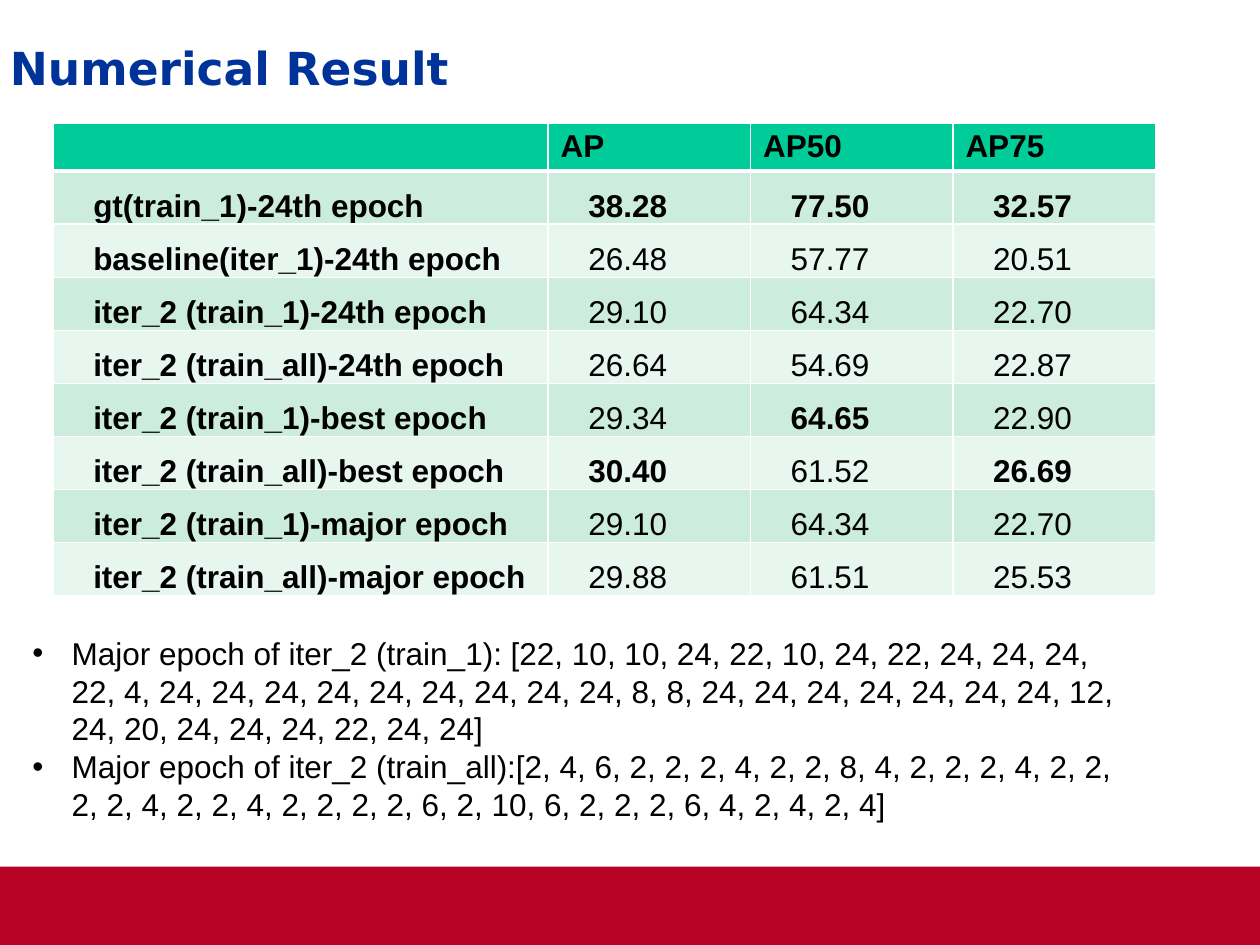
from lxml import etree
from pptx import Presentation
from pptx.dml.color import RGBColor
from pptx.enum.shapes import MSO_SHAPE
from pptx.enum.text import MSO_ANCHOR, MSO_AUTO_SIZE, PP_ALIGN
from pptx.oxml.ns import qn
from pptx.util import Cm, Pt

RECTANGLE = MSO_SHAPE.RECTANGLE
LEFT = PP_ALIGN.LEFT
TOP, MIDDLE = MSO_ANCHOR.TOP, MSO_ANCHOR.MIDDLE
NO_AUTOFIT = MSO_AUTO_SIZE.NONE

# Content
TITLE = "Numerical Result"
HEADER = ("", "AP", "AP50", "AP75")
RESULTS = [
    ("gt(train_1)-24th epoch", "38.28", "77.50", "32.57"),
    ("baseline(iter_1)-24th epoch", "26.48", "57.77", "20.51"),
    ("iter_2 (train_1)-24th epoch", "29.10", "64.34", "22.70"),
    ("iter_2 (train_all)-24th epoch", "26.64", "54.69", "22.87"),
    ("iter_2 (train_1)-best epoch", "29.34", "64.65", "22.90"),
    ("iter_2 (train_all)-best epoch", "30.40", "61.52", "26.69"),
    ("iter_2 (train_1)-major epoch", "29.10", "64.34", "22.70"),
    ("iter_2 (train_all)-major epoch", "29.88", "61.51", "25.53"),
]
BEST_VALUES = {"38.28", "77.50", "32.57", "64.65", "30.40", "26.69"}
MAJOR_EPOCHS = [
    "Major epoch of iter_2 (train_1): [22, 10, 10, 24, 22, 10, 24, 22, 24, 24, 24, "
    "22, 4, 24, 24, 24, 24, 24, 24, 24, 24, 24, 8, 8, 24, 24, 24, 24, 24, 24, 24, 12, "
    "24, 20, 24, 24, 24, 22, 24, 24]",
    "Major epoch of iter_2 (train_all):[2, 4, 6, 2, 2, 2, 4, 2, 2, 8, 4, 2, 2, 2, 4, 2, 2, "
    "2, 2, 4, 2, 2, 4, 2, 2, 2, 2, 6, 2, 10, 6, 2, 2, 2, 6, 4, 2, 4, 2, 4]",
]

# Format
COLORS = {
    "title": "003399", "text": "000000", "band": "B60225", "header": "00CC99",
    "odd row": "CCECDE", "even row": "E7F6EF", "border": "FFFFFF",
}
TITLE_FONT = {"name": "DejaVu Sans", "size": Pt(26), "bold": True}
TEXT_FONT = {"name": "Arial", "size": Pt(18), "bold": False}
BOLD_FONT = {**TEXT_FONT, "bold": True}
CELL_MARGINS = {"margin_left": Cm(0.17), "margin_right": Cm(0.17),
                "margin_top": 0, "margin_bottom": 0}
COLUMN_WIDTHS = [Cm(9.98)] + [Cm(4.08)] * 3
ROW_HEIGHTS = [Cm(0.97)] + [Cm(1.07)] * len(RESULTS)


def set_values(target, values):
    for name, value in values.items():
        setattr(target, name, value)


def place(shape, left, top, width, height):
    set_values(shape, {"left": Cm(left), "top": Cm(top),
                       "width": Cm(width), "height": Cm(height)})


def style_font(paragraph, values, color):
    set_values(paragraph.font, values)
    paragraph.font.color.rgb = RGBColor.from_string(COLORS[color])


def set_indent(paragraph, left, first=0):
    properties = paragraph._p.get_or_add_pPr()
    properties.set("marL", str(Cm(left)))
    properties.set("indent", str(Cm(first)))
    return properties


def add_borders(cell, widths):
    properties = cell._tc.get_or_add_tcPr()
    for position, (side, width) in enumerate(widths.items()):
        line = etree.Element(qn(f"a:ln{side}"), w=str(Pt(width)))
        fill = etree.SubElement(line, qn("a:solidFill"))
        etree.SubElement(fill, qn("a:srgbClr"), val=COLORS["border"])
        properties.insert(position, line)


presentation = Presentation()
presentation.slide_width, presentation.slide_height = Cm(25.4), Cm(19.05)
slide = presentation.slides.add_slide(presentation.slide_layouts[1])
title, body = slide.shapes.title, slide.placeholders[1]

# Bottom band, behind everything else
band = slide.shapes.add_shape(RECTANGLE, 0, Cm(17.47), Cm(25.4), Cm(1.58))
band.shadow.inherit = False
band.fill.solid()
band.fill.fore_color.rgb = RGBColor.from_string(COLORS["band"])
band.line.fill.background()
title._element.addprevious(band._element)

# Title
place(title, 0.2, 0.48, 24.82, 2.01)
title.text_frame.text = TITLE
set_values(title.text_frame, {
    "auto_size": NO_AUTOFIT, "vertical_anchor": MIDDLE, "word_wrap": True,
    "margin_left": 0, "margin_top": 0, "margin_right": Cm(0.25), "margin_bottom": Cm(0.13)})
heading = title.text_frame.paragraphs[0]
set_values(heading, {"alignment": LEFT, "line_spacing": 0.95})
style_font(heading, TITLE_FONT, "title")

# Results table
rows = [HEADER] + RESULTS
table = slide.shapes.add_table(
    len(rows), len(HEADER), Cm(1.07), Cm(2.48), sum(COLUMN_WIDTHS), sum(ROW_HEIGHTS)).table
for column, width in zip(table.columns, COLUMN_WIDTHS):
    column.width = width
for row, height in zip(table.rows, ROW_HEIGHTS):
    row.height = height
for row_index, values in enumerate(rows):
    is_header = row_index == 0
    fill_name = "header" if is_header else "odd row" if row_index % 2 else "even row"
    for column_index, value in enumerate(values):
        cell = table.cell(row_index, column_index)
        cell.text = value
        paragraph = cell.text_frame.paragraphs[0]
        if not is_header:
            set_values(cell, CELL_MARGINS)
            set_indent(paragraph, 0.64)
            paragraph.line_spacing = 1.5
        is_bold = is_header or column_index == 0 or value in BEST_VALUES
        style_font(paragraph, BOLD_FONT if is_bold else TEXT_FONT, "text")
        cell.fill.solid()
        cell.fill.fore_color.rgb = RGBColor.from_string(COLORS[fill_name])
        add_borders(cell, {"L": 1, "R": 1, "T": 3 if row_index == 1 else 1,
                           "B": 3 if is_header else 1})

# Major epoch list
place(body, 0.4, 12.65, 22.86, 4.11)
set_values(body.text_frame, {"auto_size": NO_AUTOFIT, "vertical_anchor": TOP, "word_wrap": True})
body.text_frame.text = "\n".join(MAJOR_EPOCHS)
for paragraph in body.text_frame.paragraphs:
    properties = set_indent(paragraph, 0.79, -0.79)
    paragraph.space_before = Pt(0)
    etree.SubElement(properties, qn("a:buFont"), typeface="Arial")
    etree.SubElement(properties, qn("a:buChar"), char="•")
    style_font(paragraph, TEXT_FONT, "text")

presentation.save("out.pptx")
